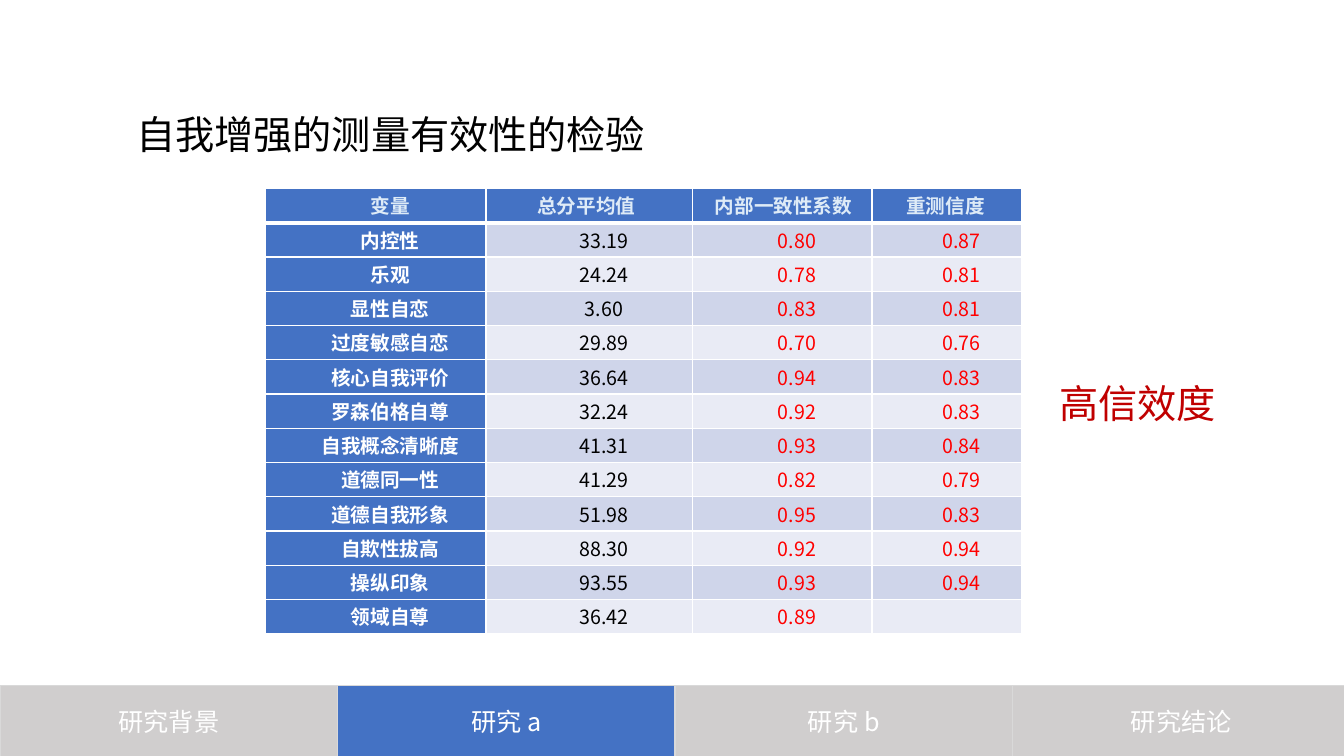
from dataclasses import dataclass

from lxml.etree import SubElement
from pptx import Presentation
from pptx.dml.color import RGBColor
from pptx.enum.shapes import MSO_SHAPE as Shape
from pptx.enum.text import MSO_ANCHOR as Anchor, MSO_AUTO_SIZE as AutoSize, PP_ALIGN as Align
from pptx.oxml.ns import qn
from pptx.util import Inches, Pt


@dataclass(frozen=True)
class Theme:
    font: str = "Noto Sans CJK SC"
    white: str = "FFFFFF"
    black: str = "000000"
    blue: str = "4472C4"
    gray: str = "D0CECE"
    outline: str = "D9D9D9"
    header_text: str = "DEEBF7"
    bands: tuple = ("CFD5EA", "E9EBF5")
    coefficient: str = "FF0000"
    conclusion: str = "C00000"
    title_size: int = 28
    tab_size: int = 18
    table_size: int = 14


THEME = Theme()

TABS = ["研究背景", "研究 a", "研究 b", "研究结论"]
ACTIVE_TAB = "研究 a"

# Header label, alignment, first-line indent and column width
COLUMNS = [
    ("变量", Align.CENTER, 0.29, 2.19),
    ("总分平均值", Align.JUSTIFY, 0.44, 2.05),
    ("内部一致性系数", Align.JUSTIFY, 0.15, 1.78),
    ("重测信度", Align.LEFT, 0.27, 1.48),
]
MEASURES = [
    ("内控性", "33.19", "0.80", "0.87"),
    ("乐观", "24.24", "0.78", "0.81"),
    ("显性自恋", "3.60", "0.83", "0.81"),
    ("过度敏感自恋", "29.89", "0.70", "0.76"),
    ("核心自我评价", "36.64", "0.94", "0.83"),
    ("罗森伯格自尊", "32.24", "0.92", "0.83"),
    ("自我概念清晰度", "41.31", "0.93", "0.84"),
    ("道德同一性", "41.29", "0.82", "0.79"),
    ("道德自我形象", "51.98", "0.95", "0.83"),
    ("自欺性拔高", "88.30", "0.92", "0.94"),
    ("操纵印象", "93.55", "0.93", "0.94"),
    ("领域自尊", "36.42", "0.89", ""),
]
ROW_HEIGHT = 0.34
BODY_INDENT = 0.29


def apply_formats(target, formats):
    for name, value in formats.items():
        setattr(target, name, value)


def write_text(paragraph, text, size, color, align, bold=False):
    paragraph.alignment = align
    if not text:
        return
    run = paragraph.add_run()
    run.text = text
    apply_formats(run.font, {"size": Pt(size), "bold": bold, "name": THEME.font})
    run.font.color.rgb = RGBColor.from_string(color)
    # East Asian glyphs take their own typeface entry
    SubElement(run.font._element, qn("a:ea"), typeface=THEME.font)


def add_tab(slide, label, left):
    tab = slide.shapes.add_shape(
        Shape.RECTANGLE, Inches(left), Inches(6.8), Inches(3.35), Inches(0.71))
    tab.shadow.inherit = False
    tab.fill.solid()
    tab.fill.fore_color.rgb = RGBColor.from_string(
        THEME.blue if label == ACTIVE_TAB else THEME.gray)
    tab.line.color.rgb = RGBColor.from_string(THEME.outline)
    tab.line.width = Pt(1)
    tab.text_frame.vertical_anchor = Anchor.MIDDLE
    write_text(tab.text_frame.paragraphs[0], label, THEME.tab_size, THEME.white, Align.CENTER)


def fill_heading(heading, text, color, left, top, width):
    apply_formats(heading, {
        "left": Inches(left), "top": Inches(top),
        "width": Inches(width), "height": Inches(0.57)})
    apply_formats(heading.text_frame, {
        "word_wrap": True, "auto_size": AutoSize.SHAPE_TO_FIT_TEXT,
        "vertical_anchor": Anchor.TOP})
    write_text(heading.text_frame.paragraphs[0], text, THEME.title_size, color, Align.LEFT)


def set_borders(cell, top, bottom):
    properties = cell._tc.get_or_add_tcPr()
    for side, points in {"L": 1, "R": 1, "T": top, "B": bottom}.items():
        border = SubElement(properties, qn(f"a:ln{side}"), w=str(Pt(points)))
        SubElement(SubElement(border, qn("a:solidFill")), qn("a:srgbClr"), val=THEME.white)


def fill_cell(cell, text, fill, color, align, indent, bold, top=1, bottom=1):
    apply_formats(cell, {
        "margin_left": Inches(0.07), "margin_right": Inches(0.07),
        "margin_top": 0, "margin_bottom": 0, "vertical_anchor": Anchor.MIDDLE})
    set_borders(cell, top, bottom)
    cell.fill.solid()
    cell.fill.fore_color.rgb = RGBColor.from_string(fill)
    paragraph = cell.text_frame.paragraphs[0]
    paragraph.line_spacing = Pt(20)
    paragraph._p.get_or_add_pPr().set("indent", str(Inches(indent)))
    write_text(paragraph, text, THEME.table_size, color, align, bold)


def add_measure_table(slide):
    row_count = len(MEASURES) + 1
    table = slide.shapes.add_table(
        row_count, len(COLUMNS), Inches(2.63), Inches(1.87),
        Inches(7.5), Inches(ROW_HEIGHT * row_count)).table
    for row in table.rows:
        row.height = Inches(ROW_HEIGHT)

    # Header row, set off by a thick rule
    for column, (label, align, indent, width) in enumerate(COLUMNS):
        table.columns[column].width = Inches(width)
        fill_cell(table.cell(0, column), label, THEME.blue, THEME.header_text,
                  align, indent, True, bottom=3)

    # Banded measures beside a blue name column
    text_colors = [THEME.white, THEME.black, THEME.coefficient, THEME.coefficient]
    for row, measure in enumerate(MEASURES, start=1):
        band = THEME.bands[(row - 1) % 2]
        for column, value in enumerate(measure):
            is_name = column == 0
            fill_cell(table.cell(row, column), value, THEME.blue if is_name else band,
                      text_colors[column], Align.CENTER, BODY_INDENT, is_name,
                      top=3 if row == 1 else 1)


def main():
    deck = Presentation()
    deck.slide_width, deck.slide_height = Inches(13.33), Inches(7.5)
    slide = deck.slides.add_slide(deck.slide_layouts[5])

    # Navigation bar
    for position, label in enumerate(TABS):
        add_tab(slide, label, position * 10.04 / 3)

    # Title, table and conclusion
    fill_heading(slide.shapes.title, "自我增强的测量有效性的检验", THEME.black, 1.25, 1.04, 5.78)
    add_measure_table(slide)
    conclusion = slide.shapes.add_textbox(0, 0, 0, 0)
    fill_heading(conclusion, "高信效度", THEME.conclusion, 10.41, 3.71, 1.91)

    deck.save("out.pptx")


if __name__ == "__main__":
    main()
